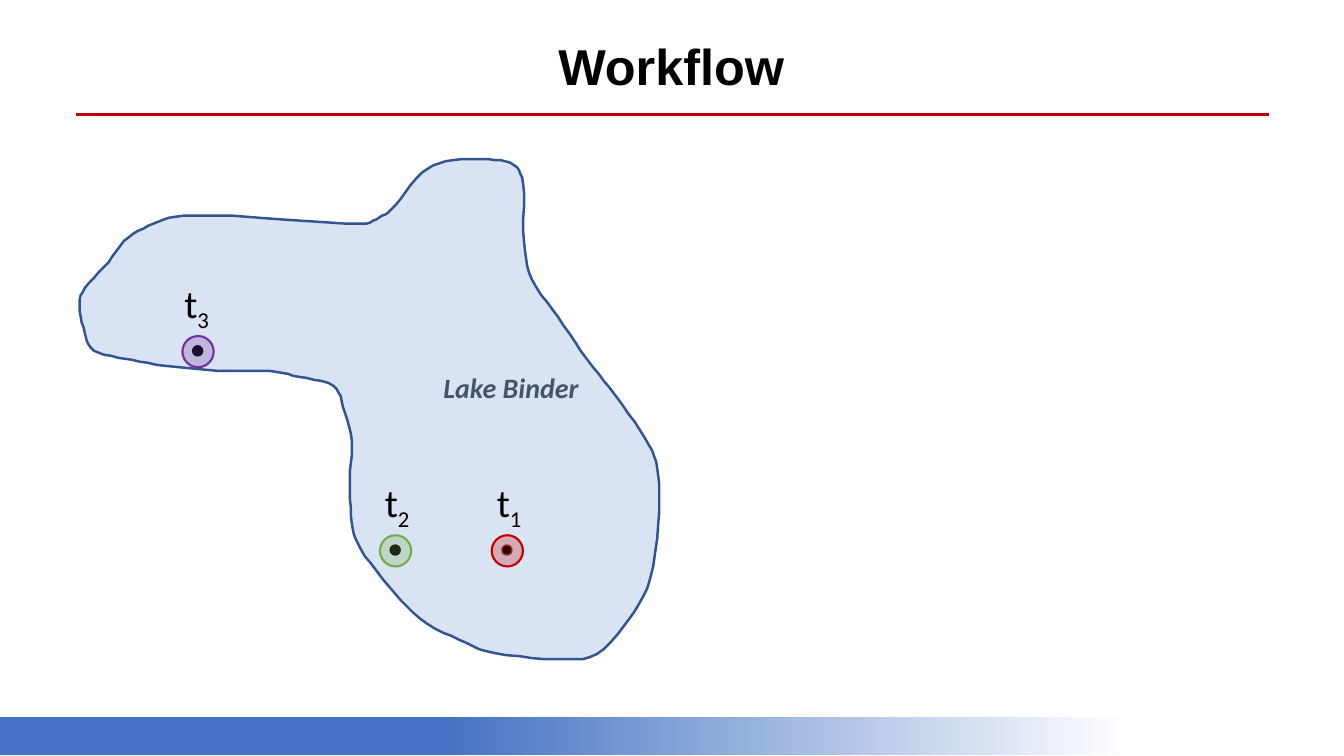
from lxml import etree
from pptx import Presentation
from pptx.dml.color import RGBColor
from pptx.enum.shapes import MSO_CONNECTOR, MSO_SHAPE
from pptx.enum.text import PP_ALIGN
from pptx.oxml.ns import qn
from pptx.util import Pt

# Main bends of the shoreline, in units of 0.72 pt
SHORE_UNIT = 0.72
SHORE = [
    (175, 215), (147, 224), (123, 239), (108, 260), (84, 286), (79, 304), (84, 330),
    (93, 348), (124, 356), (164, 363), (216, 368), (267, 368), (297, 374), (331, 383),
    (340, 403), (349, 437), (347, 476), (349, 519), (358, 545), (386, 582), (417, 614),
    (456, 635), (491, 648), (552, 654), (592, 649), (625, 613), (645, 574), (654, 508),
    (652, 465), (640, 435), (611, 393), (582, 356), (554, 315), (528, 278), (520, 241),
    (519, 183), (510, 164), (492, 159), (449, 159), (419, 171), (392, 204), (376, 216),
    (355, 222), (283, 218), (219, 214),
]
STEPS = 5


def color(value):
    return RGBColor.from_string(value)


def smooth(points):
    """Round the bends of a closed outline with a Catmull-Rom curve."""
    curve = []
    for index in range(len(points)):
        corners = [points[(index + shift) % len(points)] for shift in (-1, 0, 1, 2)]
        for step in range(STEPS):
            t = step / STEPS
            curve.append(tuple(
                b + t * (c - a + t * (2 * a - 5 * b + 4 * c - d
                                      + t * (3 * b - a - 3 * c + d))) / 2
                for a, b, c, d in zip(*corners)))
    return curve


def paint(shape, fill, line=None, width=1, opacity=None):
    shape.shadow.inherit = False
    shape.fill.solid()
    shape.fill.fore_color.rgb = color(fill)
    if opacity:
        tint = shape._element.spPr.find(qn("a:solidFill"))[0]
        etree.SubElement(tint, qn("a:alpha")).set("val", str(opacity * 1000))
    shape.line.color.rgb = color(line or fill)
    shape.line.width = Pt(width)


def add_text(page, text, left, top, width, height, size=28, font="Calibri", ink="000000",
             bold=False, italic=False, align=PP_ALIGN.LEFT, subscript="", wrap=False):
    box = page.shapes.add_textbox(Pt(left), Pt(top), Pt(width), Pt(height))
    box.text_frame.word_wrap = wrap
    para = box.text_frame.paragraphs[0]
    para.alignment = align
    for part in filter(None, (text, subscript)):
        span = para.add_run()
        span.text = part
        span.font.size, span.font.name = Pt(size), font
        span.font.bold, span.font.italic = bold, italic
        span.font.color.rgb = color(ink)
    if subscript:
        span._r.get_or_add_rPr().set("baseline", "-25000")


def add_circle(page, left, top, size, fill, **style):
    circle = page.shapes.add_shape(MSO_SHAPE.OVAL, Pt(left), Pt(top), Pt(size), Pt(size))
    paint(circle, fill, **style)


def add_station(page, number, left, top, label_left, tint, dot_line="000000"):
    """A sampling point: dot, label and translucent ring."""
    add_circle(page, left + 7.3, top + 7, 7.2, "000000", line=dot_line)
    add_text(page, "t", label_left, top - 44, 33.8, 41, subscript=number)
    add_circle(page, left, top, 22.3, tint, width=1.5, opacity=25)


def add_lake(page):
    outline = smooth(SHORE)
    builder = page.shapes.build_freeform(*outline[0], scale=Pt(SHORE_UNIT))
    builder.add_line_segments(outline[1:], close=True)
    paint(builder.convert_to_shape(), "DAE3F3", line="325491", width=1.75)


def add_footer_band(page):
    band = page.shapes.add_shape(MSO_SHAPE.RECTANGLE, 0, Pt(512), Pt(960), Pt(27.5))
    band.shadow.inherit = False
    band.line.fill.background()
    band.fill.gradient()
    band.fill.gradient_angle = 0
    for stop, (position, tint) in zip(band.fill.gradient_stops,
                                      ((0.33, "4472C4"), (0.84, "FFFFFF"))):
        stop.position = position
        stop.color.rgb = color(tint)


def add_rule(page, left, right, top):
    rule = page.shapes.add_connector(MSO_CONNECTOR.STRAIGHT, Pt(left), Pt(top), Pt(right), Pt(top))
    rule.line.color.rgb = color("C00000")
    rule.line.width = Pt(2.25)
    etree.SubElement(rule._element.spPr, qn("a:effectLst"))


def main():
    deck = Presentation()
    deck.slide_width, deck.slide_height = Pt(960), Pt(540)
    page = deck.slides.add_slide(deck.slide_layouts[6])

    # Title, lake and the frame of the page
    add_text(page, "Workflow", 140.4, 21.6, 678.2, 51, size=36, font="Arial", bold=True,
             align=PP_ALIGN.CENTER, wrap=True)
    add_lake(page)
    add_footer_band(page)
    add_rule(page, 54, 906.5, 81.5)

    # Lake name and sampling points
    add_text(page, "Lake Binder", 309.6, 261.4, 112.3, 31.7, size=20, ink="44546A",
             bold=True, italic=True)
    add_station(page, "1", 351.2, 382.3, 347.8, "C00000", dot_line="843C0B")
    add_station(page, "2", 271.4, 382.3, 267.8, "70AD47")
    add_station(page, "3", 130.3, 240, 124.6, "7030A0")

    deck.save("out.pptx")


if __name__ == "__main__":
    main()
